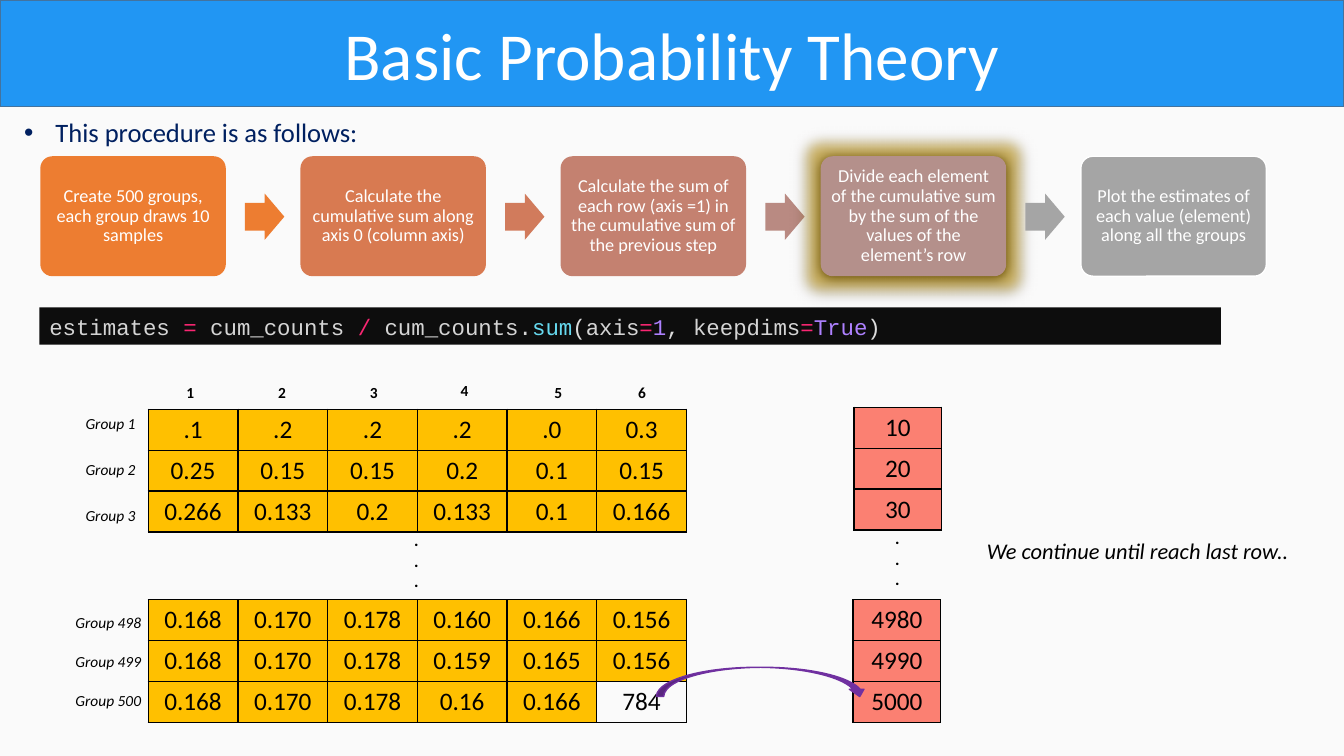
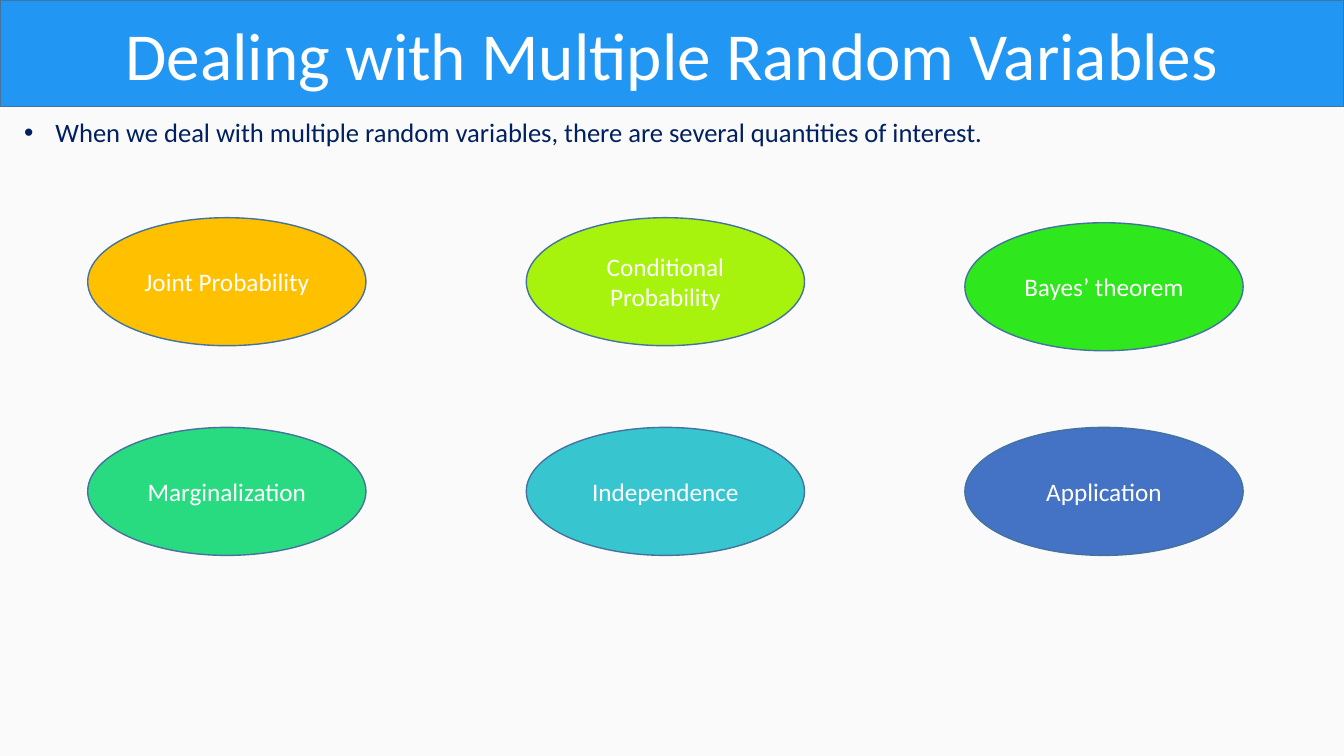
from dataclasses import dataclass

from pptx import Presentation
from pptx.dml.color import RGBColor
from pptx.enum.shapes import MSO_SHAPE
from pptx.enum.text import MSO_ANCHOR, MSO_AUTO_SIZE, PP_ALIGN
from pptx.oxml import parse_xml
from pptx.oxml.ns import nsdecls, qn
from pptx.util import Inches, Pt

RECT = MSO_SHAPE.RECTANGLE
ROUNDED = MSO_SHAPE.ROUNDED_RECTANGLE
ARROW = MSO_SHAPE.RIGHT_ARROW
CURVED_ARROW = MSO_SHAPE.CURVED_DOWN_ARROW
OVAL = MSO_SHAPE.OVAL
MIDDLE, TOP = MSO_ANCHOR.MIDDLE, MSO_ANCHOR.TOP
CENTER, LEFT = PP_ALIGN.CENTER, PP_ALIGN.LEFT
NO_FIT, GROW = MSO_AUTO_SIZE.NONE, MSO_AUTO_SIZE.SHAPE_TO_FIT_TEXT

FONT, CODE_FONT = "Calibri", "Courier New"
COLORS = {
    "page": "FAFAFA", "band": "2196F3", "outline": "43739E", "navy": "002060",
    "white": "FFFFFF", "black": "000000", "code_back": "0D0D0D",
    "plain": "D4D4D4", "operator": "F92672", "call": "66D9EF",
    "bracket": "DCDCDC", "constant": "AE81FF",
    "gold": "FFC000", "salmon": "FB8072", "purple": "7030A0",
    "orange": "ED7D31", "rust": "D87A51", "rust_arrow": "D17B5C",
    "rose": "C48170", "rose_arrow": "B98A82", "mauve": "B4908B", "gray": "A5A5A5",
    "lime": "A7F30E", "green": "2EE71C", "mint": "29DB80", "teal": "37C6CF",
    "blue": "4472C4",
}


@dataclass
class Step:
    text: str
    color: str
    arrow: str = ""
    outline: str = ""
    glows: bool = False


@dataclass
class Grid:
    left: float
    top: float
    column: float
    color: str
    rows: list[list[str]]


@dataclass
class Topic:
    label: str
    color: str
    drop: float = 0


STEPS = [
    Step("Create 500 groups, each group draws 10 samples", "orange", "orange"),
    Step("Calculate the cumulative sum along axis 0 (column axis)", "rust", "rust_arrow"),
    Step("Calculate the sum of each row (axis =1) in the cumulative sum of the previous step",
         "rose", "rose_arrow"),
    Step("Divide each element of the cumulative sum by the sum of the values of the "
         "element’s row", "mauve", "gray", glows=True),
    Step("Plot the estimates of each value (element) along all the groups", "gray",
         outline="white"),
]
CODE = [
    ("estimates ", "plain"), ("= ", "operator"), ("cum_counts ", "plain"),
    ("/ ", "operator"), ("cum_counts.", "plain"), ("sum", "call"), ("(", "bracket"),
    ("axis", "plain"), ("=", "operator"), ("1", "constant"), (", ", "bracket"),
    ("keepdims", "plain"), ("=", "operator"), ("True", "constant"), (")", "bracket"),
]
UNFILLED = "784"
GRIDS = [
    Grid(1.47, 4.06, 0.89, "gold", [
        [".1", ".2", ".2", ".2", ".0", "0.3"],
        ["0.25", "0.15", "0.15", "0.2", "0.1", "0.15"],
        ["0.266", "0.133", "0.2", "0.133", "0.1", "0.166"]]),
    Grid(1.47, 5.95, 0.89, "gold", [
        ["0.168", "0.170", "0.178", "0.160", "0.166", "0.156"],
        ["0.168", "0.170", "0.178", "0.159", "0.165", "0.156"],
        ["0.168", "0.170", "0.178", "0.16", "0.166", UNFILLED]]),
    Grid(8.47, 4.04, 0.87, "salmon", [["10"], ["20"], ["30"]]),
    Grid(8.46, 5.95, 0.87, "salmon", [["4980"], ["4990"], ["5000"]]),
]
ROW_HEIGHT = 0.406
COLUMN_HEADS = [(1.75, 3.75), (2.66, 3.75), (3.57, 3.75),
                (4.47, 3.73), (5.4, 3.75), (6.23, 3.75)]
TOPICS = [
    [Topic("Joint Probability", "gold"), Topic("Conditional Probability", "lime"),
     Topic("Bayes’ theorem", "green", drop=0.05)],
    [Topic("Marginalization", "mint"), Topic("Independence", "teal"),
     Topic("Application", "blue")],
]


def rgb(name: str) -> RGBColor:
    return RGBColor.from_string(COLORS[name])


def add_span(para, text: str, size: float, color: str, font: str = FONT,
             bold: bool = False, italic: bool = False) -> None:
    span = para.add_run()
    span.text = text
    span.font.name = font
    span.font.size = Pt(size)
    span.font.bold = bold
    span.font.italic = italic
    span.font.color.rgb = rgb(color)


def place(shape, left: float, top: float, width: float, height: float) -> None:
    shape.left, shape.top = Inches(left), Inches(top)
    shape.width, shape.height = Inches(width), Inches(height)


def paint(shape, fill: str, outline: str = "") -> None:
    shape.fill.solid()
    shape.fill.fore_color.rgb = rgb(fill)
    if outline:
        shape.line.color.rgb = rgb(outline)
        shape.line.width = Pt(1)
    else:
        shape.line.fill.background()


def add_figure(page, kind, left: float, top: float, width: float, height: float,
               fill: str, outline: str = ""):
    shape = page.shapes.add_shape(kind, Inches(left), Inches(top),
                                  Inches(width), Inches(height))
    shape.shadow.inherit = False
    paint(shape, fill, outline)
    return shape


def centered_para(shape):
    frame = shape.text_frame
    frame.word_wrap = True
    frame.vertical_anchor = MIDDLE
    para = frame.paragraphs[0]
    para.alignment = CENTER
    return para


def add_note(page, left: float, top: float, width: float, height: float, lines: list[str],
             size: float, bold: bool = False, italic: bool = False,
             wrap: bool = False) -> None:
    box = page.shapes.add_textbox(Inches(left), Inches(top), Inches(width), Inches(height))
    frame = box.text_frame
    frame.word_wrap = wrap
    frame.auto_size = GROW
    para = frame.paragraphs[0]
    for index, line in enumerate(lines):
        if index:
            para.add_line_break()
        add_span(para, line, size, "black", bold=bold, italic=italic)


def add_page(deck, title: str, lead: str):
    """Add a slide with the title band and one bullet below it."""
    page = deck.slides.add_slide(deck.slide_layouts[1])
    band = page.shapes.title
    place(band, 0, 0, 13.33, 1.06)
    paint(band, "band", "outline")
    band.text_frame.auto_size = NO_FIT
    add_span(centered_para(band), title, 48, "white")

    body = page.placeholders[1]
    place(body, 0.14, 1.1, 13, 0.42)
    body.text_frame.auto_size = NO_FIT
    body.text_frame.vertical_anchor = TOP
    para = body.text_frame.paragraphs[0]
    para.alignment = LEFT
    para.space_before = Pt(0)
    add_span(para, lead, 19, "navy")
    properties = para._p.get_or_add_pPr()
    properties.set("marL", str(Inches(0.31)))
    properties.set("indent", str(Inches(-0.31)))
    properties.append(parse_xml(f'<a:buFont {nsdecls("a")} typeface="Arial"/>'))
    properties.append(parse_xml(f'<a:buChar {nsdecls("a")} char="•"/>'))
    return page


def add_glow(shape) -> None:
    effects = shape.element.spPr.find(qn("a:effectLst"))
    effects.append(parse_xml(
        f'<a:glow {nsdecls("a")} rad="{Inches(0.25)}"><a:srgbClr val="{COLORS["gold"]}">'
        '<a:alpha val="40000"/></a:srgbClr></a:glow>'))
    effects.append(parse_xml(
        f'<a:outerShdw {nsdecls("a")} blurRad="{Pt(8.5)}" dist="{Pt(1)}" dir="5400000">'
        f'<a:srgbClr val="{COLORS["black"]}"/></a:outerShdw>'))


def add_steps(page) -> None:
    for index, step in enumerate(STEPS):
        left = 0.4 + 2.58 * index
        box = add_figure(page, ROUNDED, left, 1.55, 1.84, 1.19, step.color, step.outline)
        box.adjustments[0] = 0.1
        if step.glows:
            add_glow(box)
        frame = box.text_frame
        frame.margin_left = frame.margin_right = Inches(0.05)
        frame.margin_top = frame.margin_bottom = Inches(0.05)
        para = centered_para(box)
        para.line_spacing = 0.9
        add_span(para, step.text, 13, "white")
        if step.arrow:
            arrow = add_figure(page, ARROW, left + 2.03, 1.92, 0.39, 0.46, step.arrow)
            arrow.adjustments[0] = 0.6


def add_borders(cell) -> None:
    properties = cell._tc.get_or_add_tcPr()
    for side in ("lnL", "lnR", "lnT", "lnB"):
        properties.append(parse_xml(
            f'<a:{side} {nsdecls("a")} w="{Pt(1)}"><a:solidFill>'
            f'<a:srgbClr val="{COLORS["black"]}"/></a:solidFill></a:{side}>'))


def add_grid(page, grid: Grid) -> None:
    rows, columns = len(grid.rows), len(grid.rows[0])
    table = page.shapes.add_table(
        rows, columns, Inches(grid.left), Inches(grid.top),
        Inches(grid.column * columns), Inches(ROW_HEIGHT * rows)).table
    table.first_row = table.horz_banding = False
    for row, values in enumerate(grid.rows):
        for column, value in enumerate(values):
            cell = table.cell(row, column)
            add_borders(cell)
            if value == UNFILLED:
                cell.fill.background()
            else:
                cell.fill.solid()
                cell.fill.fore_color.rgb = rgb(grid.color)
            para = cell.text_frame.paragraphs[0]
            para.alignment = CENTER
            add_span(para, value, 18, "black")


def build_procedure(deck) -> None:
    page = add_page(deck, "Basic Probability Theory", "This procedure is as follows:")
    add_steps(page)

    # Code line
    strip = add_figure(page, RECT, 0.39, 3.05, 11.72, 0.37, "code_back")
    para = centered_para(strip)
    para.alignment = LEFT
    for text, color in CODE:
        add_span(para, text, 16, color, CODE_FONT)

    # Tables with their row and column labels
    for grid in GRIDS:
        add_grid(page, grid)
    for number, (left, top) in enumerate(COLUMN_HEADS, 1):
        add_note(page, left, top, 0.28, 0.29, [str(number)], 11, bold=True)
    for first, left, top, pitch, width in ((1, 0.75, 4.06, 0.455, 0.7),
                                           (498, 0.65, 6.03, 0.39, 0.86)):
        for index in range(3):
            add_note(page, left, top + pitch * index, width, 0.29,
                     [f"Group {first + index}"], 11, italic=True)

    # Skipped rows and the link to the row sum
    for left, top in ((4.01, 5.21), (8.78, 5.19)):
        add_note(page, left, top, 0.26, 0.71, ["."] * 3, 12, bold=True, wrap=True)
    add_figure(page, CURVED_ARROW, 6.51, 6.62, 2.09, 0.29, "purple", "purple")
    add_note(page, 9.69, 5.28, 3.24, 0.37, ["We continue until reach last row.."], 16,
             italic=True)


def build_topics(deck) -> None:
    page = add_page(
        deck, "Dealing with Multiple Random Variables",
        "When we deal with multiple random variables, there are several quantities of interest.")
    for row, topics in enumerate(TOPICS):
        for column, topic in enumerate(topics):
            oval = add_figure(page, OVAL, 0.87 + 4.35 * column, 2.16 + 2.08 * row + topic.drop,
                              2.76, 1.27, topic.color, "outline")
            add_span(centered_para(oval), topic.label, 18, "white")


def main() -> None:
    deck = Presentation()
    deck.slide_width, deck.slide_height = Inches(13.33), Inches(7.5)
    backdrop = deck.slide_master.background.fill
    backdrop.solid()
    backdrop.fore_color.rgb = rgb("page")
    build_procedure(deck)
    build_topics(deck)
    deck.save("out.pptx")


if __name__ == "__main__":
    main()
